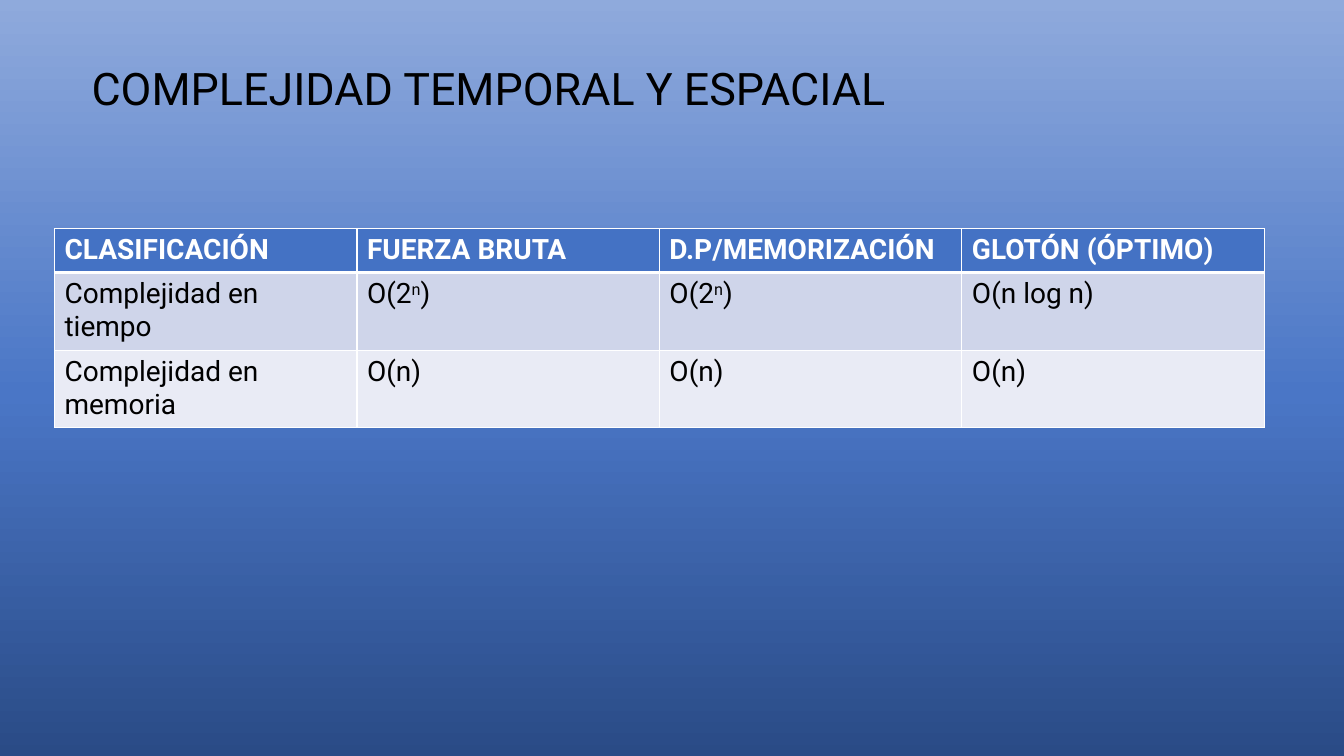
from copy import deepcopy

from lxml.etree import SubElement
from pptx import Presentation
from pptx.dml.color import RGBColor
from pptx.enum.text import MSO_AUTO_SIZE
from pptx.oxml.ns import qn
from pptx.util import Inches, Pt


def color(value):
    return RGBColor.from_string(value)


def write_text(frame, text, size=20, font="Roboto", fill="000000", bold=False):
    paragraph = frame.paragraphs[0]
    for index, piece in enumerate(text.split("^")):
        run = paragraph.add_run()
        run.text = piece
        run.font.size = Pt(size)
        run.font.name = font
        run.font.bold = bold
        run.font.color.rgb = color(fill)
        if index % 2:
            run.font._element.set("baseline", "30000")


class SlideBuilder:
    row_fills = ["4472C4", "CFD5EA", "E9EBF5"]
    border_color = "FFFFFF"
    header_color = "FFFFFF"

    def __init__(self, slide):
        self.slide = slide

    def background(self, stops):
        fill = self.slide.background.fill
        fill.gradient()
        fill.gradient_angle = 90
        stop_list = self.slide.element.xpath(".//a:gsLst")[0]
        while len(stop_list) < len(stops):
            stop_list.append(deepcopy(stop_list[0]))
        for stop, (position, value) in zip(fill.gradient_stops, stops):
            stop.position = position
            stop.color.rgb = color(value)

    def title(self, text, left, top, width, height):
        shape = self.slide.shapes.add_textbox(
            Inches(left), Inches(top), Inches(width), Inches(height))
        shape.text_frame.word_wrap = True
        shape.text_frame.auto_size = MSO_AUTO_SIZE.SHAPE_TO_FIT_TEXT
        write_text(shape.text_frame, text, size=32)

    def border(self, cell, side, width):
        properties = cell._tc.get_or_add_tcPr()
        line = SubElement(properties, qn(f"a:ln{side}"), w=str(Pt(width)))
        solid = SubElement(line, qn("a:solidFill"))
        SubElement(solid, qn("a:srgbClr"), val=self.border_color)

    def table(self, rows, left, top, column_width, row_heights):
        columns = len(rows[0])
        table = self.slide.shapes.add_table(
            len(rows), columns, Inches(left), Inches(top),
            Inches(column_width * columns), Inches(sum(row_heights))).table
        for column in table.columns:
            column.width = Inches(column_width)
        for row_index, texts in enumerate(rows):
            table.rows[row_index].height = Inches(row_heights[row_index])
            header = row_index == 0
            widths = {"L": 1, "R": 1, "T": 3 if row_index == 1 else 1, "B": 3 if header else 1}
            for column_index, text in enumerate(texts):
                cell = table.cell(row_index, column_index)
                for side, width in widths.items():
                    self.border(cell, side, width)
                cell.fill.solid()
                cell.fill.fore_color.rgb = color(self.row_fills[row_index])
                write_text(cell.text_frame, text, bold=header,
                           fill=self.header_color if header else "000000")


def main():
    presentation = Presentation()
    presentation.slide_width = Inches(13.33)
    presentation.slide_height = Inches(7.5)
    builder = SlideBuilder(presentation.slides.add_slide(presentation.slide_layouts[6]))
    builder.background([(0, "2A4B86"), (0.48, "4A76C6"), (1, "8FAADC")])
    builder.title("COMPLEJIDAD TEMPORAL Y ESPACIAL", 0.81, 0.55, 9.97, 0.64)
    builder.table([
        ["CLASIFICACIÓN", "FUERZA BRUTA", "D.P/MEMORIZACIÓN", "GLOTÓN (ÓPTIMO)"],
        ["Complejidad en tiempo", "O(2^n^)", "O(2^n^)", "O(n log n)"],
        ["Complejidad en memoria", "O(n)", "O(n)", "O(n)"],
    ], 0.54, 2.27, 3, [0.43, 0.77, 0.77])
    presentation.save("out.pptx")


if __name__ == "__main__":
    main()
